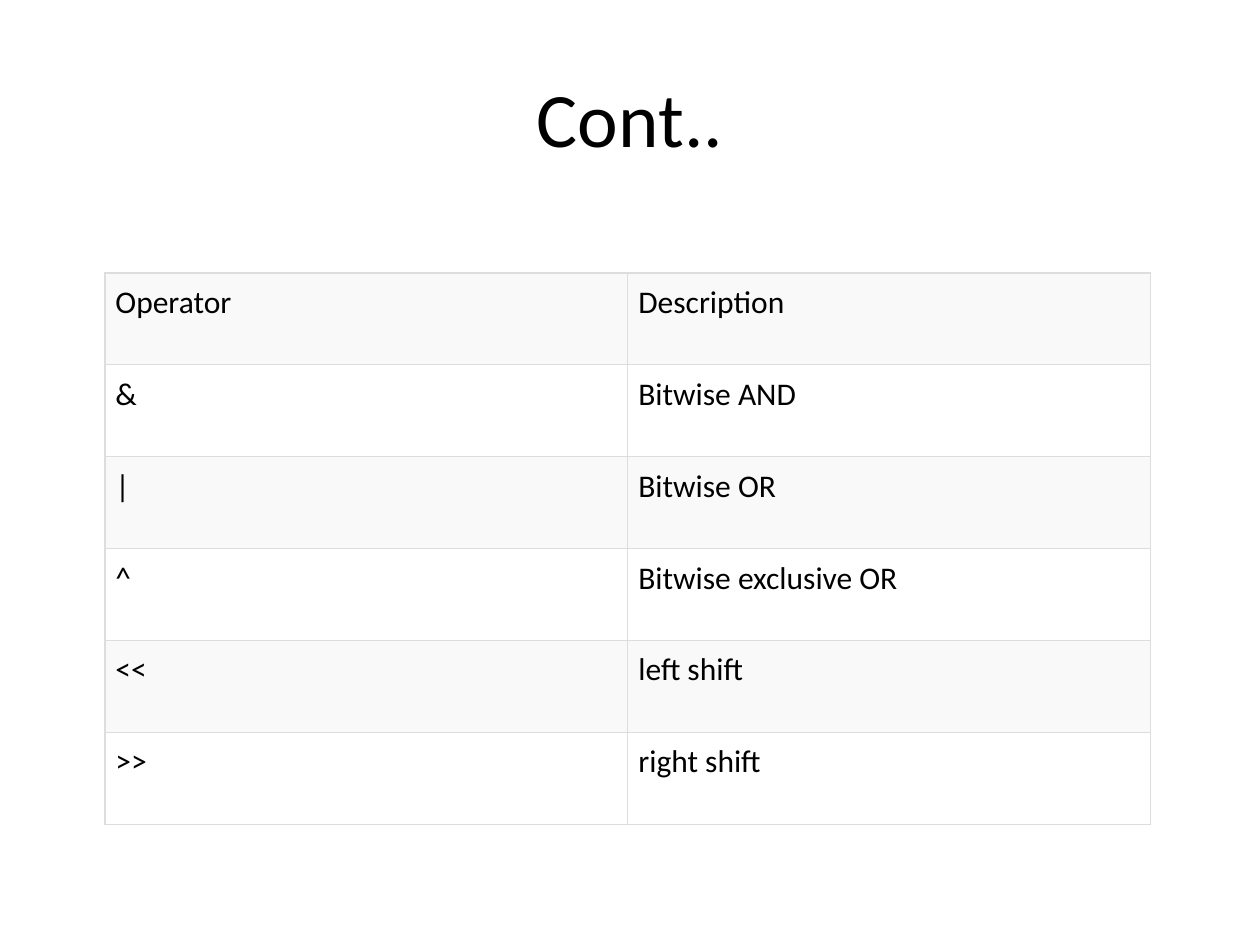
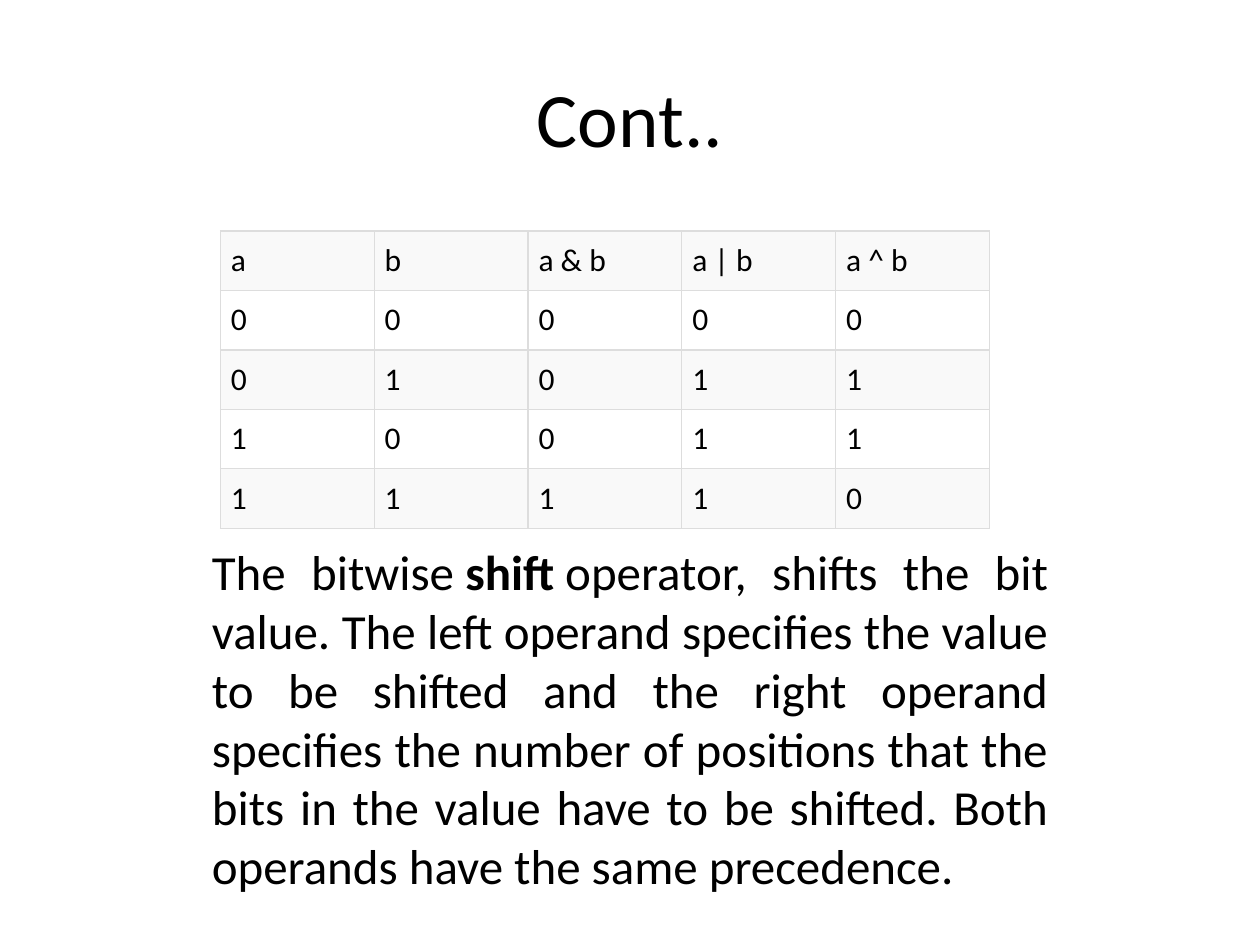
"""Two slides on bitwise operators: their descriptions and their truth table."""
from lxml.etree import SubElement
from pptx import Presentation
from pptx.dml.color import RGBColor
from pptx.enum.text import MSO_ANCHOR as Anchor, MSO_AUTO_SIZE as AutoSize, PP_ALIGN as Align
from pptx.oxml.ns import qn
from pptx.util import Pt

FONT = "Calibri"
TEXT_COLOR = "000000"
BAND_COLOR = "F9F9F9"
BORDER_COLOR = "DDDDDD"
BORDER_WIDTH = 0.75
CELL_MARGIN = 6
TITLE_BOX = (36, 21.6, 648, 90)
TITLE_ONLY = 5

OPERATORS = [
    ("Operator", "Description"),
    ("&", "Bitwise AND"),
    ("|", "Bitwise OR"),
    ("^", "Bitwise exclusive OR"),
    ("<<", "left shift"),
    (">>", "right shift"),
]
TRUTH_TABLE = [("a", "b", "a & b", "a | b", "a ^ b")] + [
    (a, b, a & b, a | b, a ^ b) for a in (0, 1) for b in (0, 1)
]
SHIFT_TEXT = [
    ("The bitwise\u00a0", False),
    ("shift", True),
    ("\u00a0operator, shifts the bit value. The left operand specifies the value "
     "to be shifted and the right operand specifies the number of positions that "
     "the bits in the value have to be shifted. Both operands have the same "
     "precedence.", False),
]


def color(hex_string):
    """Turn a hex string into a colour."""
    return RGBColor.from_string(hex_string)


def points(box):
    """Turn a box of numbers into lengths in points."""
    return [Pt(length) for length in box]


def style_paragraph(paragraph, size, alignment):
    """Set the shared font, a size and an alignment."""
    paragraph.alignment = alignment
    paragraph.font.name = FONT
    paragraph.font.size = Pt(size)
    paragraph.font.color.rgb = color(TEXT_COLOR)


def add_titled_slide(presentation, title):
    """Add a slide with a centred title."""
    slide = presentation.slides.add_slide(presentation.slide_layouts[TITLE_ONLY])
    shape = slide.shapes.title
    shape.left, shape.top, shape.width, shape.height = points(TITLE_BOX)
    shape.text_frame.text = title
    shape.text_frame.vertical_anchor = Anchor.MIDDLE
    style_paragraph(shape.text_frame.paragraphs[0], 44, Align.CENTER)
    return slide


def add_borders(cell):
    """Draw a thin line on all four sides of a cell."""
    properties = cell._tc.get_or_add_tcPr()
    for side in ("a:lnL", "a:lnR", "a:lnT", "a:lnB"):
        line = SubElement(properties, qn(side), w=str(Pt(BORDER_WIDTH)))
        fill = SubElement(line, qn("a:solidFill"))
        SubElement(fill, qn("a:srgbClr"), val=BORDER_COLOR)


def add_banded_table(slide, box, rows):
    """Fill the box with a table of equal cells, every other row shaded."""
    table = slide.shapes.add_table(len(rows), len(rows[0]), *points(box)).table
    table.first_row = table.horz_banding = False
    for row_index, row in enumerate(rows):
        for column_index, value in enumerate(row):
            cell = table.cell(row_index, column_index)
            cell.text = str(value)
            cell.margin_left = cell.margin_right = Pt(CELL_MARGIN)
            cell.margin_top = cell.margin_bottom = Pt(CELL_MARGIN)
            style_paragraph(cell.text_frame.paragraphs[0], 18, Align.LEFT)
            add_borders(cell)
            if row_index % 2 == 0:
                cell.fill.solid()
                cell.fill.fore_color.rgb = color(BAND_COLOR)
            else:
                cell.fill.background()


def add_justified_text(slide, box, runs):
    """Add one justified paragraph made of (text, bold) runs."""
    frame = slide.shapes.add_textbox(*points(box)).text_frame
    frame.word_wrap = True
    frame.auto_size = AutoSize.SHAPE_TO_FIT_TEXT
    paragraph = frame.paragraphs[0]
    style_paragraph(paragraph, 28, Align.JUSTIFY)
    for text, bold in runs:
        run = paragraph.add_run()
        run.text = text
        run.font.bold = bold


def main():
    """Build and save the presentation."""
    presentation = Presentation()
    presentation.slide_width, presentation.slide_height = Pt(720), Pt(540)

    operator_slide = add_titled_slide(presentation, "Cont..")
    add_banded_table(operator_slide, (60, 156, 597.6, 315), OPERATORS)

    truth_slide = add_titled_slide(presentation, "Cont..")
    add_banded_table(truth_slide, (126, 132, 439.5, 170), TRUTH_TABLE)
    add_justified_text(truth_slide, (114, 306, 492, 211), SHIFT_TEXT)

    presentation.save("out.pptx")


main()
